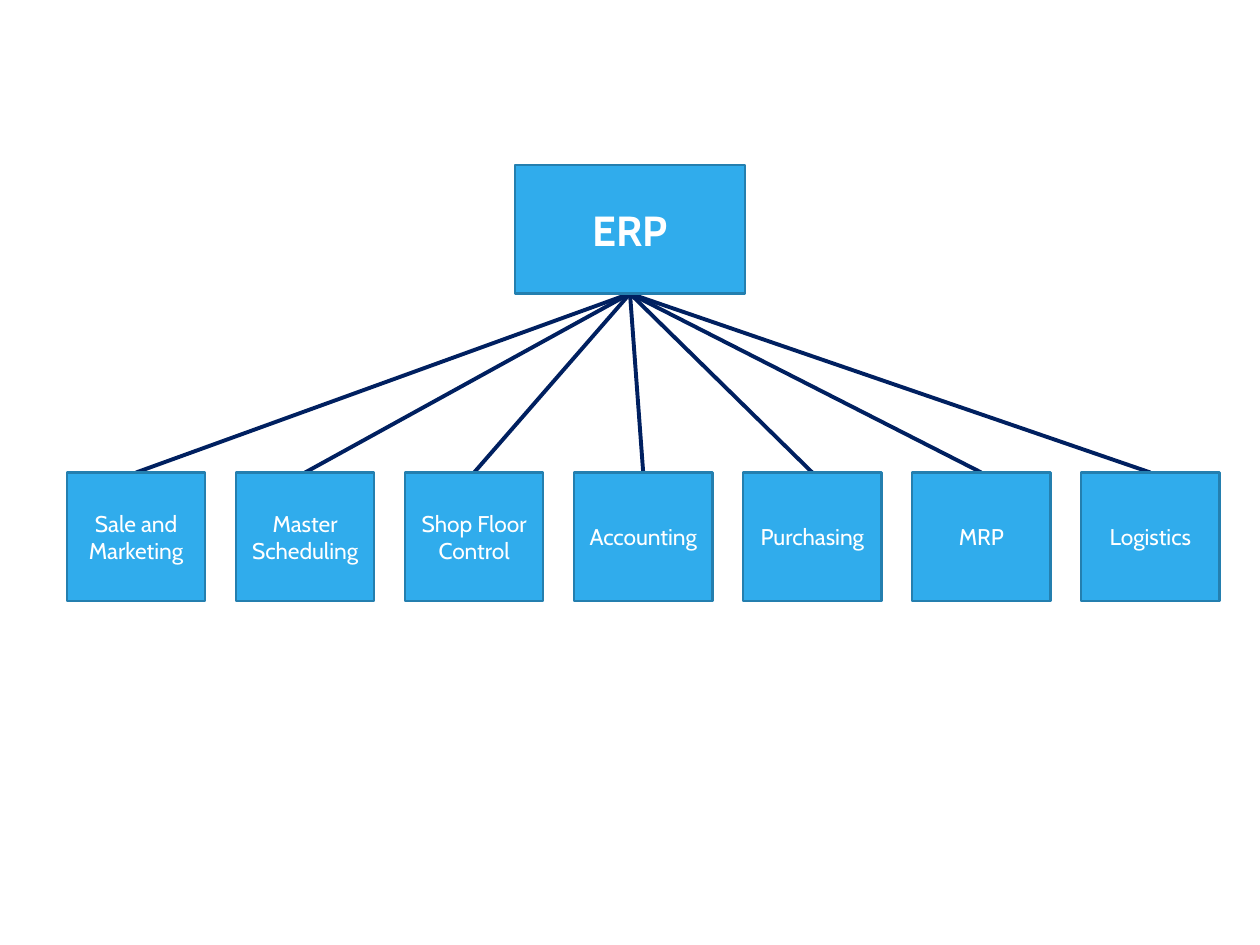
from dataclasses import dataclass

from lxml.etree import SubElement
from pptx import Presentation
from pptx.dml.color import RGBColor
from pptx.enum.shapes import MSO_CONNECTOR, MSO_SHAPE
from pptx.enum.text import MSO_ANCHOR, PP_ALIGN
from pptx.oxml.ns import qn
from pptx.shapes.autoshape import Shape
from pptx.shapes.connector import Connector
from pptx.slide import Slide
from pptx.util import Inches, Pt


@dataclass(frozen=True)
class Theme:
    background: RGBColor = RGBColor(0xFF, 0xFF, 0xFF)
    box_fill: RGBColor = RGBColor(0x30, 0xAC, 0xEC)
    box_line: RGBColor = RGBColor(0x24, 0x7F, 0xAF)
    link: RGBColor = RGBColor(0x00, 0x20, 0x60)
    text: RGBColor = RGBColor(0xFF, 0xFF, 0xFF)
    font: str = "Cabin"
    root_size: int = 24
    module_size: int = 13
    box_line_width: float = 1.25
    link_width: float = 2.25


@dataclass(frozen=True)
class Box:
    """A labelled box, measured in inches."""

    label: str
    left: float
    top: float
    width: float
    height: float
    size: int
    bold: bool = False

    @property
    def center(self) -> float:
        return self.left + self.width / 2

    @property
    def bottom(self) -> float:
        return self.top + self.height


THEME = Theme()
BOX_HEIGHT = 1.02
BOTTOM_SITE, TOP_SITE = 2, 0

ROOT = Box("ERP", 4.09, 1.31, 1.82, BOX_HEIGHT, THEME.root_size, bold=True)

# Modules stand in one row with an equal step
MODULE_LABELS = [
    "Sale and Marketing",
    "Master Scheduling",
    "Shop Floor Control",
    "Accounting",
    "Purchasing",
    "MRP",
    "Logistics",
]
FIRST_LEFT, LAST_LEFT = 0.53, 8.58
STEP = (LAST_LEFT - FIRST_LEFT) / (len(MODULE_LABELS) - 1)
MODULES = [
    Box(label, FIRST_LEFT + index * STEP, 3.75, 1.1, BOX_HEIGHT, THEME.module_size)
    for index, label in enumerate(MODULE_LABELS)
]


def add_link(slide: Slide, parent: Box, child: Box) -> Connector:
    link = slide.shapes.add_connector(
        MSO_CONNECTOR.STRAIGHT,
        Inches(parent.center), Inches(parent.bottom),
        Inches(child.center), Inches(child.top),
    )
    link.line.color.rgb = THEME.link
    link.line.width = Pt(THEME.link_width)
    SubElement(link._element.spPr, qn("a:effectLst"))
    return link


def add_box(slide: Slide, box: Box) -> Shape:
    shape = slide.shapes.add_shape(
        MSO_SHAPE.RECTANGLE,
        Inches(box.left), Inches(box.top), Inches(box.width), Inches(box.height),
    )
    shape.shadow.inherit = False
    shape.fill.solid()
    shape.fill.fore_color.rgb = THEME.box_fill
    shape.line.color.rgb = THEME.box_line
    shape.line.width = Pt(THEME.box_line_width)

    frame = shape.text_frame
    frame.word_wrap = True
    frame.vertical_anchor = MSO_ANCHOR.MIDDLE
    paragraph = frame.paragraphs[0]
    paragraph.alignment = PP_ALIGN.CENTER
    run = paragraph.add_run()
    run.text = box.label
    font_format = {"name": THEME.font, "size": Pt(box.size), "bold": box.bold}
    for attribute, value in font_format.items():
        setattr(run.font, attribute, value)
    run.font.color.rgb = THEME.text
    return shape


def main() -> None:
    presentation = Presentation()
    presentation.slide_width = Inches(10)
    presentation.slide_height = Inches(7.5)
    slide = presentation.slides.add_slide(presentation.slide_layouts[6])
    slide.background.fill.solid()
    slide.background.fill.fore_color.rgb = THEME.background

    # Links go first so that they lie behind the boxes
    links = [add_link(slide, ROOT, module) for module in MODULES]

    # Root box and module row
    root_shape = add_box(slide, ROOT)
    module_shapes = [add_box(slide, module) for module in MODULES]

    # Attach each link to its two boxes
    for link, module_shape in zip(links, module_shapes):
        link.begin_connect(root_shape, BOTTOM_SITE)
        link.end_connect(module_shape, TOP_SITE)

    presentation.save("out.pptx")


if __name__ == "__main__":
    main()
